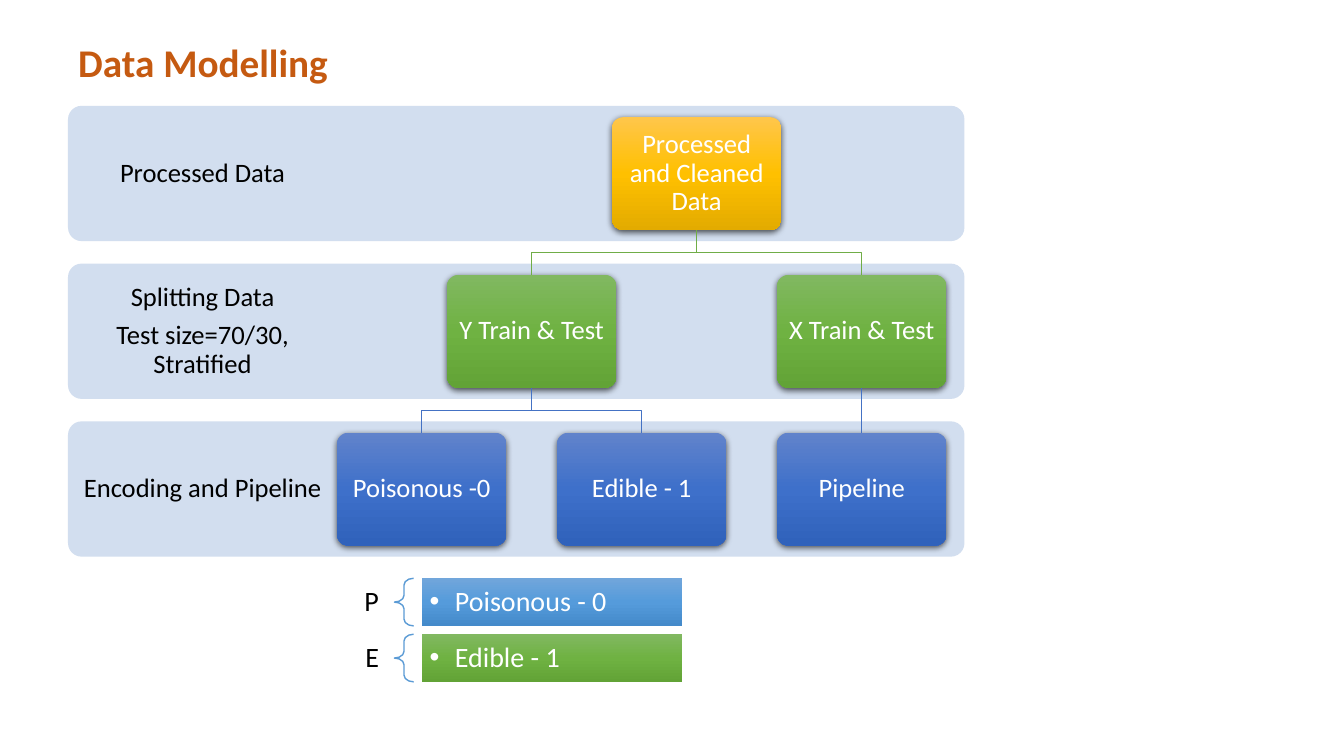
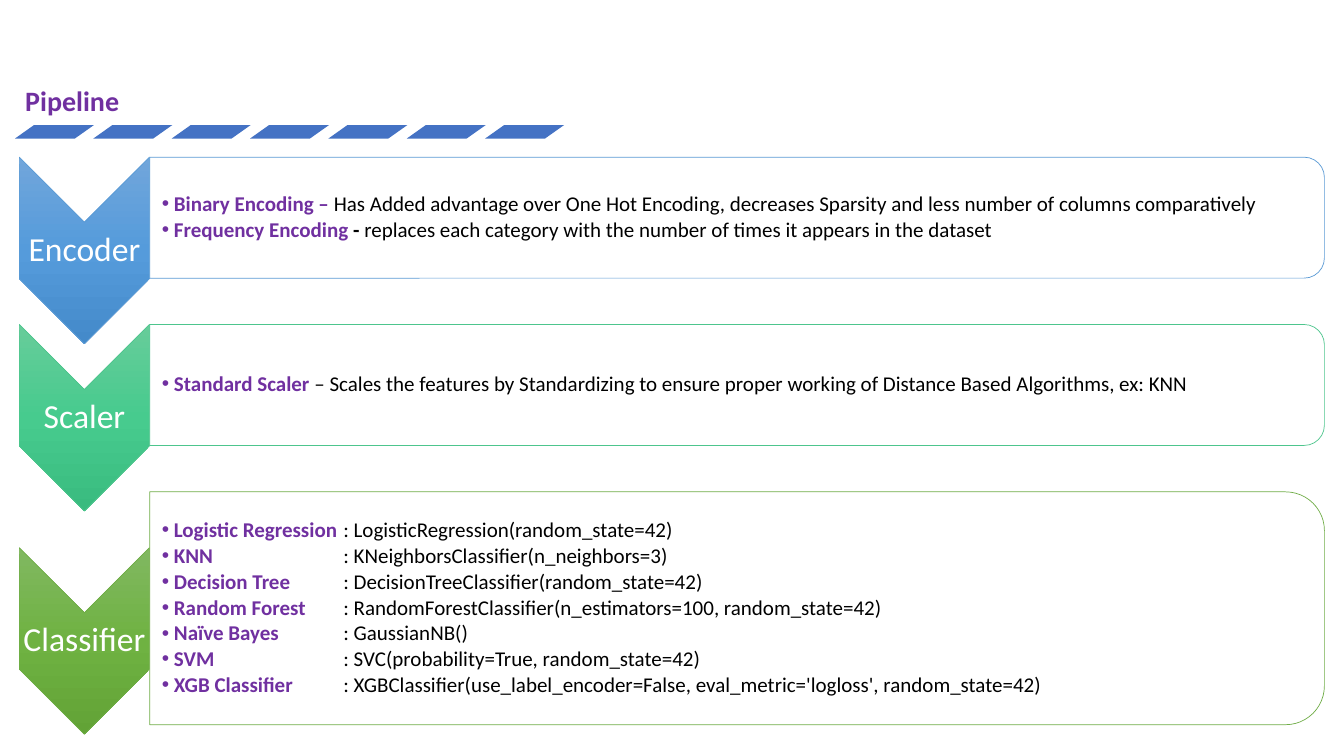
"""Build two slides on data modelling and its pipeline."""
import copy
import lxml.etree
import pptx
import pptx.dml.color
import pptx.enum.shapes
import pptx.enum.text
import pptx.oxml.ns
import pptx.util

hue = pptx.dml.color.RGBColor.from_string
tag = pptx.oxml.ns.qn
form = pptx.enum.shapes.MSO_SHAPE
side = pptx.enum.text.PP_ALIGN
mid = pptx.enum.text.MSO_ANCHOR.MIDDLE
low = pptx.enum.text.MSO_ANCHOR.BOTTOM

deck = pptx.Presentation()
deck.slide_width = pptx.util.Inches(13.33)
deck.slide_height = pptx.util.Inches(7.5)

BLACK, WHITE, PLUM, RUST = "000000", "FFFFFF", "7030A0", "C55A11"
BAND, ROYAL, LEAF, SKY, MINT = "D2DEEF", "4472C4", "70AD47", "5B9BD5", "4DC58D"
GOLDS = ("FFC64B", "FFC000", "E3AB00")
GREENS = ("81B861", "6FB242", "62A336")
BLUES = ("6183CB", "3E70CA", "3062BB")
SKIES = ("71A6DB", "559BDB", "448ACA")
MINTS = ("67CC9A", "47CB8E", "39BB7F")


def dress(shape, x, y, w, h, fill=None, line=None, width=1, turn=False):
    left, wide = (deck.slide_width * part / 100 for part in (x, w))
    top, high = (deck.slide_height * part / 100 for part in (y, h))
    if turn:
        left, top = left + (wide - high) / 2, top + (high - wide) / 2
        wide, high = high, wide
        shape.rotation = 90
    place = {"left": left, "top": top, "width": wide, "height": high}
    for key, val in place.items():
        setattr(shape, key, int(val))
    shape.shadow.inherit = False
    if isinstance(fill, tuple):
        shape.fill.gradient()
        shape.fill.gradient_angle = 0 if turn else 270
        stops = shape._element.spPr.find(".//" + tag("a:gsLst"))
        stops.append(copy.deepcopy(stops[0]))
        for spot, stop in enumerate(shape.fill.gradient_stops):
            stop.position = spot / 2
            stop.color.rgb = hue(fill[spot])
    elif fill:
        shape.fill.solid()
        shape.fill.fore_color.rgb = hue(fill)
    else:
        shape.fill.background()
    if line:
        shape.line.color.rgb = hue(line)
        shape.line.width = pptx.util.Pt(width)
    else:
        shape.line.fill.background()
    return shape


def write(shape, rows, size, align, pads, after=0.35, dent=0, tab=0, anchor=mid):
    frame = shape.text_frame
    look = {"word_wrap": True, "auto_size": pptx.enum.text.MSO_AUTO_SIZE.NONE,
            "vertical_anchor": anchor}
    names = ("margin_left", "margin_top", "margin_right", "margin_bottom")
    look.update(zip(names, map(pptx.util.Inches, pads)))
    for key, val in look.items():
        setattr(frame, key, val)
    for spot, row in enumerate(rows):
        para = frame.add_paragraph() if spot else frame.paragraphs[0]
        props = para._p.get_or_add_pPr()
        if dent:
            props.set("marL", str(pptx.util.Inches(dent)))
            props.set("indent", str(-pptx.util.Inches(dent)))
            lxml.etree.SubElement(props, tag("a:buFont"), typeface="Arial")
            lxml.etree.SubElement(props, tag("a:buChar"), char="•")
        if tab:
            tabs = lxml.etree.SubElement(props, tag("a:tabLst"))
            lxml.etree.SubElement(tabs, tag("a:tab"), pos=str(pptx.util.Inches(tab)), algn="l")
        space = {"alignment": align, "line_spacing": 0.9, "space_before": pptx.util.Pt(0),
                 "space_after": pptx.util.Pt(size * after)}
        for key, val in space.items():
            setattr(para, key, val)
        for text, tone, bold in row:
            run = para.add_run()
            run.text = text
            run.font.color.rgb = hue(tone)
            style = {"name": "Calibri", "size": pptx.util.Pt(size), "bold": bold}
            for key, val in style.items():
                setattr(run.font, key, val)


model = deck.slides.add_slide(deck.slide_layouts[3])
draw = model.shapes
dress(draw.title, 5.07, 4.8, 40, 7.6)
write(draw.title, [[("Data Modelling", RUST, True)]], 28, side.LEFT, (0.1, 0.05, 0.1, 0.05))

FIRST, STEP, TALL = 14, 20.87, 17.9
bands = [["Processed Data"], ["Splitting Data", "Test size=70/30, Stratified"],
         ["Encoding and Pipeline"]]
for row, lines in enumerate(bands):
    band = dress(draw.add_shape(form.ROUNDED_RECTANGLE, 0, 0, 1, 1),
                 5.06, FIRST + row * STEP, 66.7, TALL, BAND)
    band.adjustments[0] = 0.1
    write(band, [[(text, BLACK, False)] for text in lines], 19, side.CENTER,
          (0.1, 0.1, 6.32, 0.1))

nodes = {}
for name, col, row, tones in [
    ("Processed and Cleaned Data", 1.25, 0, GOLDS),
    ("Y Train & Test", 0.5, 1, GREENS),
    ("X Train & Test", 2, 1, GREENS),
    ("Poisonous -0", 0, 2, BLUES),
    ("Edible - 1", 1, 2, BLUES),
    ("Pipeline", 2, 2, BLUES),
]:
    node = dress(draw.add_shape(form.ROUNDED_RECTANGLE, 0, 0, 1, 1),
                 25.08 + 16.37 * col, FIRST + 1.5 + row * STEP, 12.6, 14.93, tones)
    node.adjustments[0] = 0.1
    glow = lxml.etree.SubElement(
        node._element.spPr.find(tag("a:effectLst")), tag("a:outerShdw"),
        blurRad="57150", dist="19050", dir="5400000", algn="ctr", rotWithShape="0")
    shade = lxml.etree.SubElement(glow, tag("a:srgbClr"), val=BLACK)
    lxml.etree.SubElement(shade, tag("a:alpha"), val="63000")
    write(node, [[(name, WHITE, False)]], 19, side.CENTER, (0.07,) * 4)
    nodes[name] = node

for head, kid, tone in [
    ("Processed and Cleaned Data", "Y Train & Test", LEAF),
    ("Processed and Cleaned Data", "X Train & Test", LEAF),
    ("Y Train & Test", "Poisonous -0", ROYAL),
    ("Y Train & Test", "Edible - 1", ROYAL),
    ("X Train & Test", "Pipeline", ROYAL),
]:
    top, end = nodes[head], nodes[kid]
    stem, drop = (box.left + box.width // 2 for box in (top, end))
    base = top.top + top.height
    half = (base + end.top) // 2
    if stem == drop:
        link = draw.add_connector(pptx.enum.shapes.MSO_CONNECTOR.STRAIGHT,
                                  stem, base, drop, end.top)
        link.begin_connect(top, 2)
        link.end_connect(end, 0)
        lxml.etree.SubElement(link._element.spPr, tag("a:effectLst"))
    else:
        route = draw.build_freeform(stem, base)
        route.add_line_segments([(stem, half), (drop, half), (drop, end.top)], close=False)
        link = route.convert_to_shape()
        link.fill.background()
        link.shadow.inherit = False
    link.line.color.rgb = hue(tone)
    link.line.width = pptx.util.Pt(1)

for row, (key, text, tones) in enumerate([("P", "Poisonous - 0", SKIES),
                                          ("E", "Edible - 1", GREENS)]):
    y = 76.5 + 7.4 * row
    sign = dress(draw.add_textbox(0, 0, 1, 1), 22.3, y, 7.1, 6.3)
    write(sign, [[(key, BLACK, False)]], 20, side.RIGHT, (0.16, 0.06, 0.16, 0.06))
    brace = dress(draw.add_shape(form.LEFT_BRACE, 0, 0, 1, 1), 29.35, y, 1.43, 6.3, None, SKY)
    brace.adjustments[0] = 0.35
    bar = dress(model.placeholders[row + 1], 31.37, y, 19.4, 6.3, tones)
    write(bar, [[(text, WHITE, False)]], 20, side.LEFT, (0.08,) * 4, 0.15, 0.25)

pipe = deck.slides.add_slide(deck.slide_layouts[4])
draw = pipe.shapes
dress(draw.title, 1.28, 10.5, 38.2, 6.1)
write(draw.title, [[("Pipeline", PLUM, True)]], 20, side.LEFT, (0.08,) * 4, anchor=low)
for col in range(7):
    dash = dress(draw.add_shape(form.PARALLELOGRAM, 0, 0, 1, 1),
                 1.28 + 5.83 * col, 16.63, 5.55, 1.6, ROYAL, ROYAL)
    dash.adjustments[0] = 1.41
    edge = dash._element.spPr.find(tag("a:ln"))
    lxml.etree.SubElement(edge, tag("a:miter"), lim="800000")

coders = [
    [("Binary Encoding – ", PLUM, True),
     ("Has Added advantage over One Hot Encoding, decreases Sparsity and less number of "
      "columns comparatively", BLACK, False)],
    [("Frequency Encoding ", PLUM, True), ("- ", BLACK, True),
     ("replaces each category with the number of times it appears in the dataset",
      BLACK, False)],
]
scalers = [
    [("Standard Scaler ", PLUM, True),
     ("– Scales the features by Standardizing to ensure proper working of Distance Based "
      "Algorithms, ex: KNN", BLACK, False)],
]
sorters = [[(name + "\t", PLUM, True), (": " + call, BLACK, False)] for name, call in [
    ("Logistic Regression", "LogisticRegression(random_state=42)"),
    ("KNN", "KNeighborsClassifier(n_neighbors=3)"),
    ("Decision Tree", "DecisionTreeClassifier(random_state=42)"),
    ("Random Forest", "RandomForestClassifier(n_estimators=100, random_state=42)"),
    ("Naïve Bayes", "GaussianNB()"),
    ("SVM", "SVC(probability=True, random_state=42)"),
    ("XGB Classifier",
     "XGBClassifier(use_label_encoder=False, eval_metric='logloss', random_state=42)"),
]]

SHORT, GAP = 16, 6.13
spare, *lists = list(pipe.placeholders)[1:]
spare._element.getparent().remove(spare._element)
y = 20.8
for body, (name, rows, high, tones, edge, tab) in zip(lists, [
    ("Encoder", coders, SHORT, SKIES, SKY, 0),
    ("Scaler", scalers, SHORT, MINTS, MINT, 0),
    ("Classifier", sorters, 30.8, GREENS, LEAF, 1.8),
]):
    peak = y + (high - SHORT) / 2
    dress(draw.add_shape(form.CHEVRON, 0, 0, 1, 1),
          1.44, peak, 9.68, 24.67, tones, edge, 0.5, True)
    label = dress(draw.add_textbox(0, 0, 1, 1), 1.44, peak + 8.67, 9.68, 7.33)
    write(label, [[(name, WHITE, False)]], 24, side.CENTER, (0.02,) * 4)
    area = (11.14, y, 87.4, high)
    dress(draw.add_shape(form.ROUND_2_SAME_RECTANGLE, 0, 0, 1, 1),
          *area, WHITE, edge, 0.5, True)
    dress(body, *area)
    write(body, rows, 15, side.LEFT, (0.12, 0.01, 0.01, 0.01), 0.15, 0.12, tab)
    body._element.getparent().append(body._element)
    y += high + GAP

deck.save("out.pptx")
